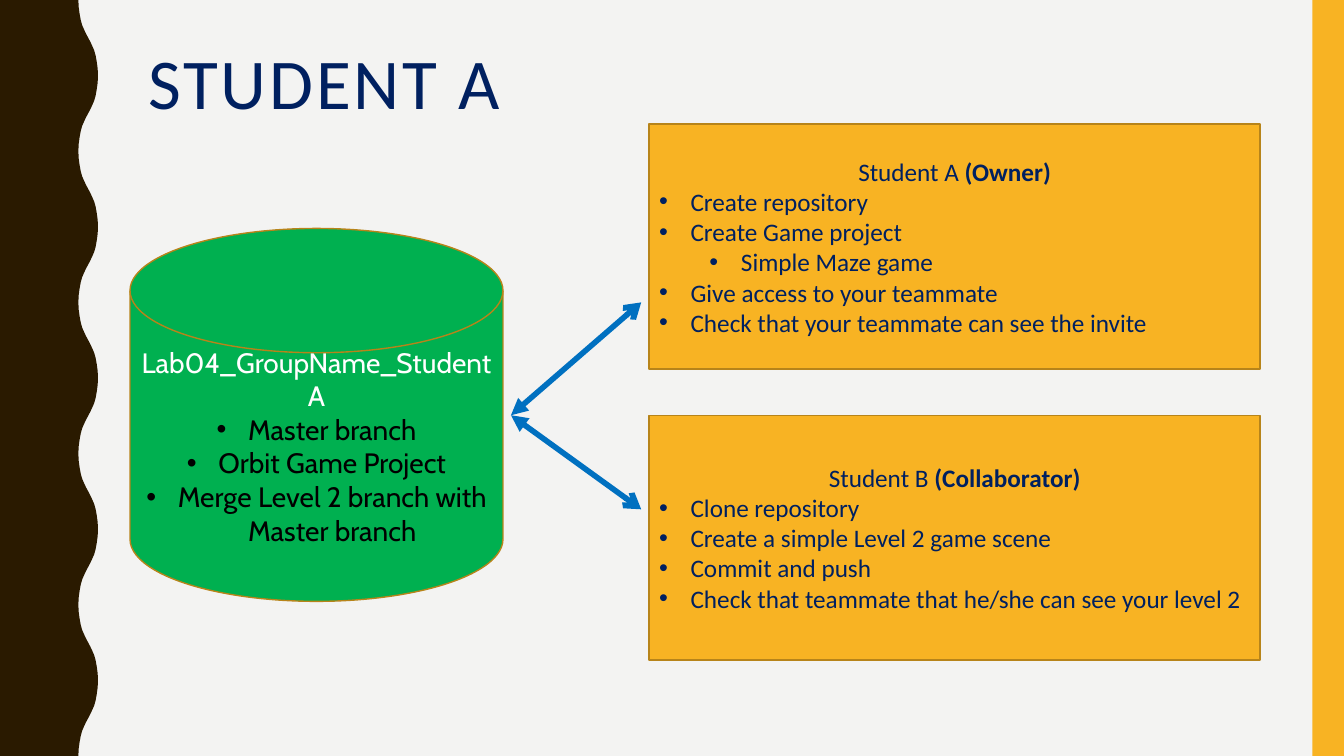
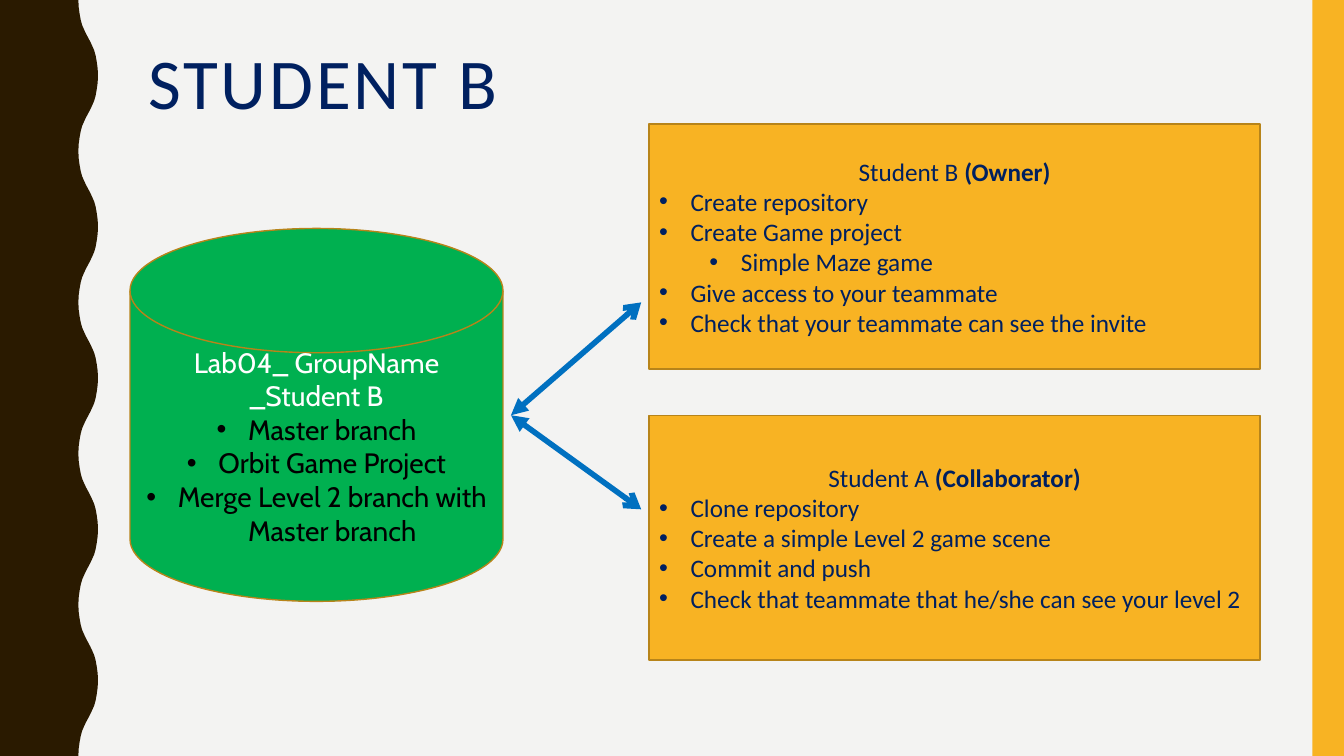
"""Build two slides showing how each student shares a repository with a teammate."""
import dataclasses
import typing

import lxml.etree
import pptx
import pptx.dml.color
import pptx.enum.shapes
import pptx.enum.text
import pptx.oxml.ns
import pptx.presentation
import pptx.shapes.autoshape
import pptx.slide
import pptx.text.text
import pptx.util

Pt = pptx.util.Pt
Align = pptx.enum.text.PP_ALIGN
Anchor = pptx.enum.text.MSO_ANCHOR
Preset = pptx.enum.shapes.MSO_SHAPE
qn = pptx.oxml.ns.qn


@dataclasses.dataclass(frozen=True)
class Theme:
    background: str = "F3F3F2"
    wave: str = "2A1A00"
    accent: str = "F8B323"
    outline: str = "B7841A"
    navy: str = "002060"
    disk: str = "00B050"
    arrow: str = "0070C0"
    white: str = "FFFFFF"
    black: str = "000000"
    font: str = "Calibri"
    disk_font: str = "Cabin"
    title_size: float = 51
    disk_size: float = 20
    role_size: float = 18
    outline_width: float = 1
    arrow_width: float = 4


@dataclasses.dataclass(frozen=True)
class Frame:
    left: float
    top: float
    width: float
    height: float

    def lengths(self) -> list[pptx.util.Length]:
        return [Pt(value) for value in dataclasses.astuple(self)]


@dataclasses.dataclass(frozen=True)
class Span:
    text: str
    size: float
    color: str
    font: str = "Calibri"
    bold: bool = False


@dataclasses.dataclass(frozen=True)
class Para:
    spans: list[Span]
    centered: bool = False
    bullet: bool = False
    level: int = 0


@dataclasses.dataclass(frozen=True)
class Lesson:
    owner: str
    teammate: str
    repository: str


THEME = Theme()
PAGE = Frame(0, 0, 960, 540)
TITLE = Frame(98.64, 30.24, 801.36, 117.36)
SIDE_BAND = Frame(937.5, 0, 22.5, 540)
DISK = Frame(92.9, 163.2, 266.4, 266.4)
OWNER_BOX = Frame(463.7, 88.7, 436.4, 174.8)
TEAMMATE_BOX = dataclasses.replace(OWNER_BOX, top=296.6)
ARROW_START = (365, 296.6)
ARROW_ENDS = [(458, 216), (458, 363.8)]

WAVE_LOW, WAVE_HIGH, HALF_WAVE = 56, 70, 54
QUARTER_WAVE = [(56, 0), (56.2, 5), (56.9, 10), (57.7, 14.4), (58.7, 18),
                (60, 21), (61.4, 24), (63, 27)]

BULLET_HANG = 22.5
LEVEL_STEP = 36

DISK_ITEMS = ["Master branch", "Orbit Game Project",
              "Merge Level 2 branch with Master branch"]
OWNER_TASKS = [("Create repository", 0), ("Create Game project", 0),
               ("Simple Maze game", 1), ("Give access to your teammate", 0),
               ("Check that your teammate can see the invite", 0)]
TEAMMATE_TASKS = [("Clone repository", 0), ("Create a simple Level 2 game scene", 0),
                  ("Commit and push", 0),
                  ("Check that teammate that he/she can see your level 2", 0)]
LESSONS = [
    Lesson("Student A", "Student B", "Lab04_GroupName_Student A"),
    Lesson("Student B", "Student A", "Lab04_ GroupName _Student B"),
]


def rgb(value: str) -> pptx.dml.color.RGBColor:
    return pptx.dml.color.RGBColor.from_string(value)


def apply(target: typing.Any, formats: dict[str, typing.Any]) -> None:
    for name, value in formats.items():
        setattr(target, name, value)


def paint(shape: pptx.shapes.autoshape.Shape, fill: str, outline: str | None = None) -> None:
    shape.shadow.inherit = False
    shape.fill.solid()
    shape.fill.fore_color.rgb = rgb(fill)
    if outline is None:
        shape.line.fill.background()
    else:
        shape.line.color.rgb = rgb(outline)
        shape.line.width = Pt(THEME.outline_width)


def add_bullet(para: pptx.text.text._Paragraph, level: int) -> None:
    properties = para._p.get_or_add_pPr()
    properties.set("marL", str(Pt(BULLET_HANG + LEVEL_STEP * level)))
    properties.set("indent", str(-Pt(BULLET_HANG)))
    lxml.etree.SubElement(properties, qn("a:buFont"), typeface="Arial")
    lxml.etree.SubElement(properties, qn("a:buChar"), char="•")


def write_span(para: pptx.text.text._Paragraph, span: Span) -> pptx.text.text._Run:
    run = para.add_run()
    run.text = span.text
    apply(run.font, {"name": span.font, "size": Pt(span.size), "bold": span.bold})
    run.font.color.rgb = rgb(span.color)
    return run


def write_paras(frame: pptx.text.text.TextFrame, paras: list[Para]) -> None:
    apply(frame, {"word_wrap": True, "vertical_anchor": Anchor.MIDDLE})
    for index, content in enumerate(paras):
        para = frame.add_paragraph() if index else frame.paragraphs[0]
        apply(para, {"alignment": Align.CENTER if content.centered else Align.LEFT,
                     "level": content.level})
        if content.bullet:
            add_bullet(para, content.level)
        for span in content.spans:
            write_span(para, span)


def add_panel(page: pptx.slide.Slide, preset: Preset, frame: Frame, fill: str,
              paras: list[Para]) -> None:
    panel = page.shapes.add_shape(preset, *frame.lengths())
    paint(panel, fill, THEME.outline)
    write_paras(panel.text_frame, paras)


def disk_paras(repository: str) -> list[Para]:
    def span(text: str, color: str) -> Span:
        return Span(text, THEME.disk_size, color, THEME.disk_font)

    items = [Para([span(item, THEME.black)], centered=True, bullet=True)
             for item in DISK_ITEMS]
    return [Para([span(repository, THEME.white)], centered=True), *items]


def role_paras(student: str, role: str, tasks: list[tuple[str, int]]) -> list[Para]:
    def span(text: str, bold: bool = False) -> Span:
        return Span(text, THEME.role_size, THEME.navy, THEME.font, bold)

    heading = Para([span(f"{student} "), span(f"({role})", True)], centered=True)
    return [heading, *(Para([span(task)], bullet=True, level=level)
                       for task, level in tasks)]


def add_arrow(page: pptx.slide.Slide, start: tuple[float, float],
              end: tuple[float, float]) -> None:
    arrow = page.shapes.add_connector(
        pptx.enum.shapes.MSO_CONNECTOR.STRAIGHT, *(Pt(value) for value in start + end))
    arrow.line.color.rgb = rgb(THEME.arrow)
    arrow.line.width = Pt(THEME.arrow_width)
    outline = arrow.line._get_or_add_ln()
    lxml.etree.SubElement(outline, qn("a:headEnd"), type="triangle")
    lxml.etree.SubElement(outline, qn("a:tailEnd"), type="arrow")
    lxml.etree.SubElement(arrow._element.spPr, qn("a:effectLst"))


def wave_points() -> list[tuple[float, float]]:
    mirror = WAVE_LOW + WAVE_HIGH
    rise = QUARTER_WAVE + [(mirror - x, HALF_WAVE - y)
                           for x, y in reversed(QUARTER_WAVE[1:-1])]
    points = [(mirror - x if half % 2 else x, half * HALF_WAVE + y)
              for half in range(PAGE.height // HALF_WAVE) for x, y in rise]
    return [*points, (WAVE_LOW, PAGE.height), (0, PAGE.height)]


def add_shared_bands(page: pptx.slide.Slide) -> None:
    outline = page.shapes.build_freeform(0, 0)
    outline.add_line_segments([(Pt(x), Pt(y)) for x, y in wave_points()], close=True)
    wave = outline.convert_to_shape()
    side = page.shapes.add_shape(Preset.RECTANGLE, *SIDE_BAND.lengths())
    tree = page.slide_layout.shapes.element
    for number, (band, color) in enumerate([(wave, THEME.wave), (side, THEME.accent)]):
        paint(band, color)
        band.element.xpath(".//p:cNvPr")[0].set("id", str(101 + number))
        tree.insert(2 + number, band.element)


def write_title(page: pptx.slide.Slide, text: str) -> None:
    frame = page.shapes.title.text_frame
    apply(frame, {"vertical_anchor": Anchor.TOP, "word_wrap": True,
                  "auto_size": pptx.enum.text.MSO_AUTO_SIZE.NONE})
    para = frame.paragraphs[0]
    apply(para, {"alignment": Align.LEFT, "line_spacing": 0.9})
    run = write_span(para, Span(text, THEME.title_size, THEME.navy, THEME.font))
    run.font._element.set("spc", "200")


def add_lesson(deck: pptx.presentation.Presentation, layout: pptx.slide.SlideLayout,
               lesson: Lesson) -> pptx.slide.Slide:
    page = deck.slides.add_slide(layout)
    write_title(page, lesson.owner.upper())
    add_panel(page, Preset.FLOWCHART_MAGNETIC_DISK, DISK, THEME.disk,
              disk_paras(lesson.repository))
    add_panel(page, Preset.RECTANGLE, OWNER_BOX, THEME.accent,
              role_paras(lesson.owner, "Owner", OWNER_TASKS))
    add_panel(page, Preset.RECTANGLE, TEAMMATE_BOX, THEME.accent,
              role_paras(lesson.teammate, "Collaborator", TEAMMATE_TASKS))
    for end in ARROW_ENDS:
        add_arrow(page, ARROW_START, end)
    return page


def main() -> None:
    deck = pptx.Presentation()
    apply(deck, {"slide_width": Pt(PAGE.width), "slide_height": Pt(PAGE.height)})
    background = deck.slide_master.background.fill
    background.solid()
    background.fore_color.rgb = rgb(THEME.background)
    layout = deck.slide_layouts.get_by_name("Title Only")
    title = next(box for box in layout.placeholders if box.placeholder_format.idx == 0)
    apply(title, dict(zip(("left", "top", "width", "height"), TITLE.lengths())))
    pages = [add_lesson(deck, layout, lesson) for lesson in LESSONS]
    add_shared_bands(pages[0])
    deck.save("out.pptx")


if __name__ == "__main__":
    main()
